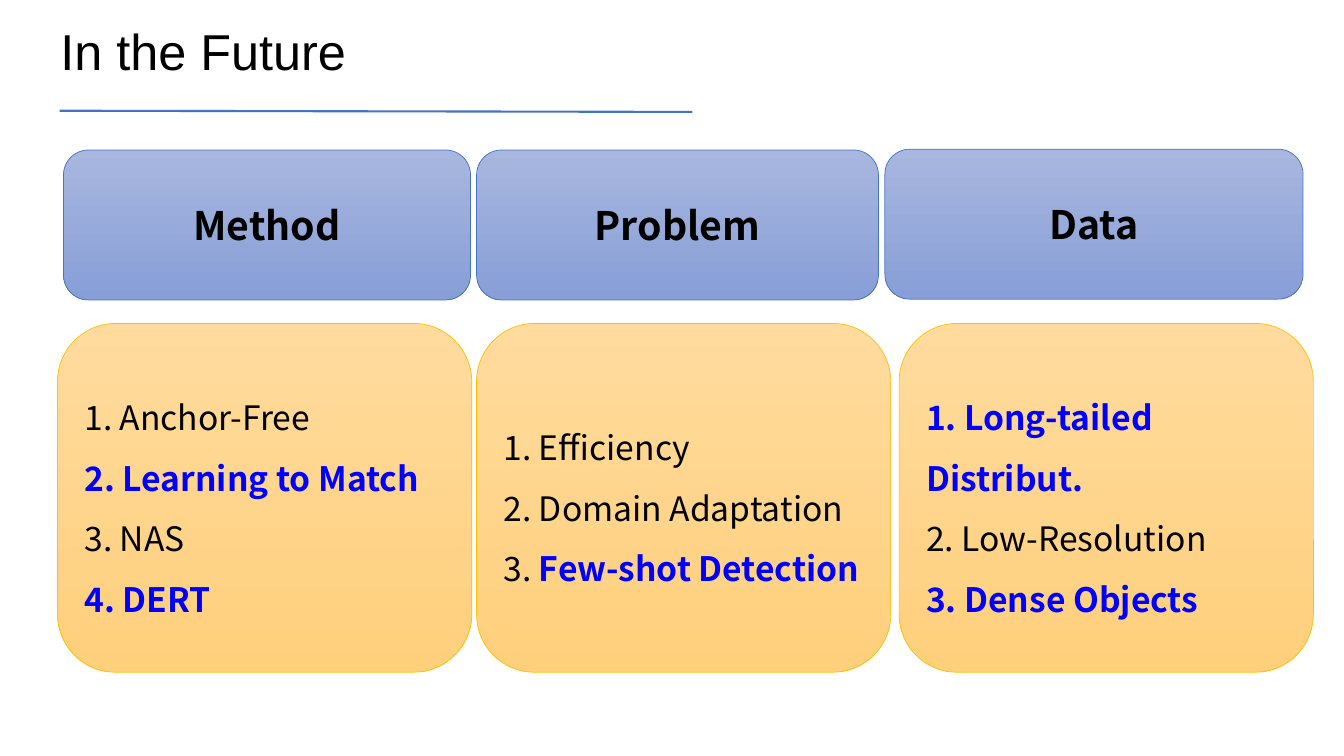
"""Build the "In the Future" slide: three topic headers above three lists."""
from dataclasses import dataclass

from lxml import etree
from pptx import Presentation
from pptx.dml.color import RGBColor
from pptx.enum.shapes import MSO_CONNECTOR, MSO_SHAPE
from pptx.enum.text import MSO_ANCHOR, MSO_AUTO_SIZE, PP_ALIGN
from pptx.oxml import parse_xml
from pptx.oxml.ns import nsdecls, qn
from pptx.util import Cm, Pt

ROUNDED = MSO_SHAPE.ROUNDED_RECTANGLE
STRAIGHT = MSO_CONNECTOR.STRAIGHT
MIDDLE = MSO_ANCHOR.MIDDLE
LEFT, CENTER = PP_ALIGN.LEFT, PP_ALIGN.CENTER


@dataclass(frozen=True)
class Theme:
    black: str = "000000"
    accent: str = "0000FF"
    blue: str = "4472C4"
    blue_grad: tuple = ("A8B7DF", "889ED7")
    gold: str = "FFC000"
    gold_grad: tuple = ("FFDB9E", "FFD07C")
    title_font: str = "Arial"
    body_font: str = "Noto Sans CJK SC"
    title_size: int = 36
    head_size: int = 28
    list_size: int = 24


T = Theme()


def add_card(left, top, width, height, grad, border):
    sp = s.shapes.add_shape(ROUNDED, Cm(left), Cm(top), Cm(width), Cm(height))
    sp.shadow.inherit = False
    sp.fill.gradient()
    sp.fill.gradient_angle = 270
    for stop, position, color in zip(sp.fill.gradient_stops, (0, 1), grad):
        stop.position = position
        stop.color.rgb = RGBColor.from_string(color)
    sp.line.color.rgb = RGBColor.from_string(border)
    sp.line.width = Pt(0.5)
    sp.text_frame.word_wrap = True
    sp.text_frame.vertical_anchor = MIDDLE
    return sp.text_frame


def add_run(p, text, size, font=T.body_font, color=T.black, bold=False):
    r = p.add_run()
    r.text = text
    r.font.size = Pt(size)
    r.font.bold = bold
    r.font.color.rgb = RGBColor.from_string(color)
    r.font.name = font
    return r


prs = Presentation()
prs.slide_width, prs.slide_height = Cm(33.87), Cm(19.05)
s = prs.slides.add_slide(prs.slide_layouts[5])

title = s.shapes.title
title.left, title.top, title.width, title.height = Cm(1.27), Cm(0.56), Cm(10.03), Cm(1.63)
tf = title.text_frame
tf.auto_size = MSO_AUTO_SIZE.NONE
tf.vertical_anchor = MIDDLE
p = tf.paragraphs[0]
p.alignment = LEFT
p.line_spacing = 0.9
r = add_run(p, "In the Future", T.title_size, T.title_font)
shadow = parse_xml(
    f'<a:effectLst {nsdecls("a")}><a:outerShdw blurRad="38100" dist="38100" dir="2700000" algn="tl">'
    f'<a:srgbClr val="{T.black}"><a:alpha val="43000"/></a:srgbClr></a:outerShdw></a:effectLst>')
r.font._element.find(qn("a:solidFill")).addnext(shadow)

rule = s.shapes.add_connector(STRAIGHT, Cm(1.5), Cm(2.79), Cm(17.45), Cm(2.82))
rule.line.color.rgb = RGBColor.from_string(T.blue)
rule.line.width = Pt(1.5)
etree.SubElement(rule._element.spPr, qn("a:effectLst"))

headers = [
    ("Method", 1.6, 3.78, 10.26),
    ("Problem", 12.01, 3.78, 10.13),
    ("Data", 22.3, 3.76, 10.54),
]
for name, left, top, width in headers:
    tf = add_card(left, top, width, 3.78, T.blue_grad, T.blue)
    p = tf.paragraphs[0]
    p.alignment = CENTER
    add_run(p, name, T.head_size, bold=True)

lists = [
    (1.45, [[("1. Anchor-Free", False)], [("2. Learning to Match", True)],
            [("3. NAS", False)], [("4. DERT", True)]]),
    (12.01, [[("1. Efficiency", False)], [("2. Domain Adaptation", False)],
             [("3. ", False), ("Few-shot Detection", True)]]),
    (22.66, [[("1. Long-tailed Distribut.", True)], [("2. Low-Resolution", False)],
             [("3. Dense Objects", True)]]),
]
for left, items in lists:
    tf = add_card(left, 8.15, 10.44, 8.79, T.gold_grad, T.gold)
    for i, runs in enumerate(items):
        p = tf.add_paragraph() if i else tf.paragraphs[0]
        p.alignment = LEFT
        p.line_spacing = 1.5
        for text, key in runs:
            add_run(p, text, T.list_size, color=T.accent if key else T.black, bold=key)

prs.save("out.pptx")
